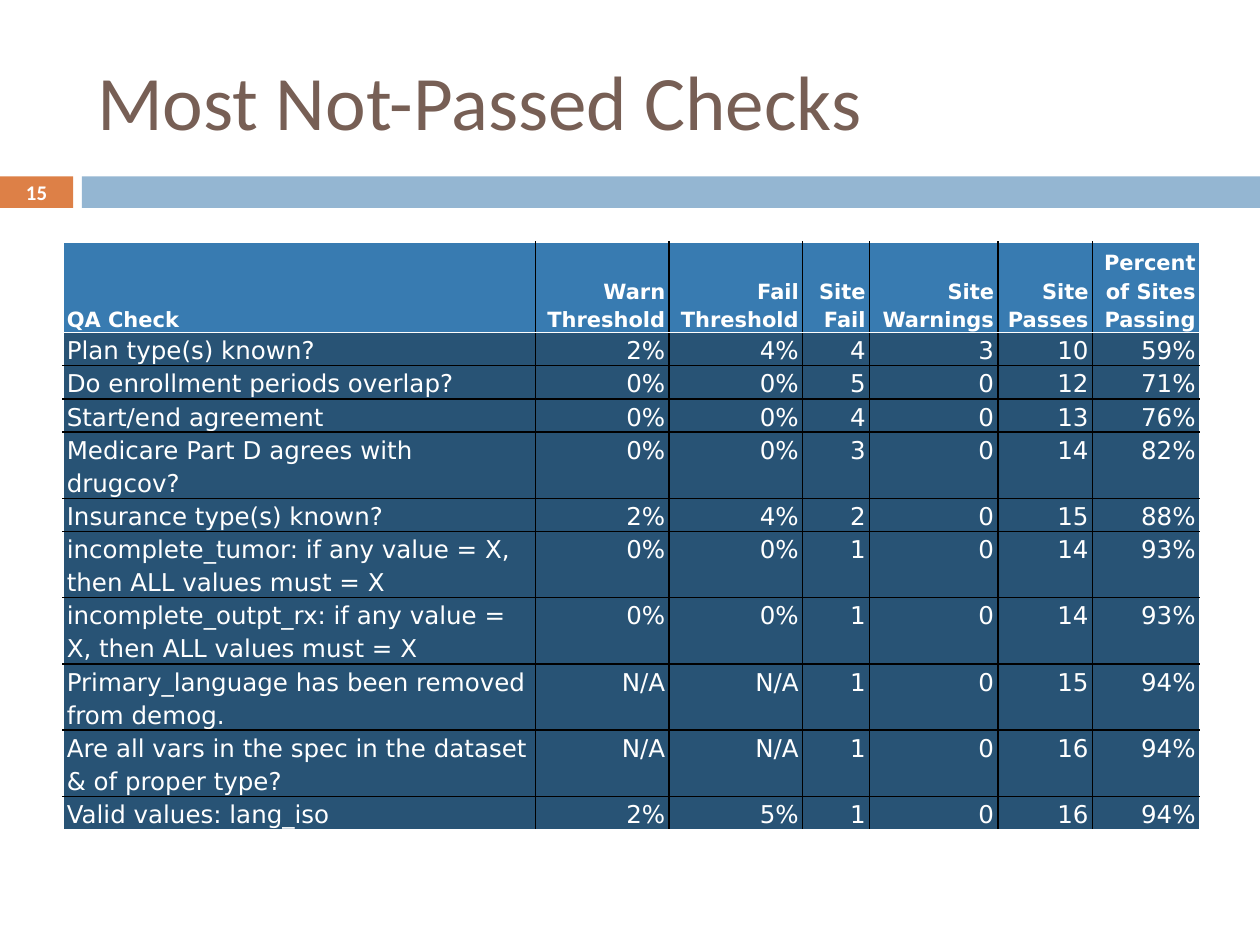
"""Build the slide that lists the QA checks most often not passed."""
from lxml import etree
from pptx import Presentation
from pptx.dml.color import RGBColor
from pptx.enum.shapes import MSO_SHAPE
from pptx.enum.text import MSO_ANCHOR, PP_ALIGN
from pptx.oxml.ns import qn
from pptx.util import Inches, Pt

RECT = MSO_SHAPE.RECTANGLE
TOP, MIDDLE, BOTTOM = MSO_ANCHOR.TOP, MSO_ANCHOR.MIDDLE, MSO_ANCHOR.BOTTOM
LEFT, CENTER, RIGHT = PP_ALIGN.LEFT, PP_ALIGN.CENTER, PP_ALIGN.RIGHT

WHITE = RGBColor(0xFF, 0xFF, 0xFF)
BLACK = RGBColor(0x00, 0x00, 0x00)
BROWN = RGBColor(0x77, 0x5F, 0x55)
ORANGE = RGBColor(0xDD, 0x80, 0x47)
PALE_BLUE = RGBColor(0x94, 0xB6, 0xD2)
HEAD_BLUE = RGBColor(0x38, 0x7B, 0xB1)
BODY_BLUE = RGBColor(0x28, 0x53, 0x75)

GRID_COLS, GRID_ROWS = 100, 75
COL_WIDTHS = [37.5, 10.6, 10.6, 5.3, 10.2, 7.5, 8.5]
HEAD_HEIGHT, ROW_HEIGHT = 7.2, 1.4
CHECKS = [
    ("QA Check", "Warn Threshold", "Fail Threshold", "Site Fail",
     "Site Warnings", "Site Passes", "Percent of Sites Passing"),
    ("Plan type(s) known?", "2%", "4%", "4", "3", "10", "59%"),
    ("Do enrollment periods overlap?", "0%", "0%", "5", "0", "12", "71%"),
    ("Start/end agreement", "0%", "0%", "4", "0", "13", "76%"),
    ("Medicare Part D agrees with drugcov?", "0%", "0%", "3", "0", "14", "82%"),
    ("Insurance type(s) known?", "2%", "4%", "2", "0", "15", "88%"),
    ("incomplete_tumor: if any value = X, then ALL values must = X",
     "0%", "0%", "1", "0", "14", "93%"),
    ("incomplete_outpt_rx: if any value = X, then ALL values must = X",
     "0%", "0%", "1", "0", "14", "93%"),
    ("Primary_language has been removed from demog.",
     "N/A", "N/A", "1", "0", "15", "94%"),
    ("Are all vars in the spec in the dataset & of proper type?",
     "N/A", "N/A", "1", "0", "16", "94%"),
    ("Valid values: lang_iso", "2%", "5%", "1", "0", "16", "94%"),
]


def write(tf, text, font="Calibri", size=14, color=WHITE, bold=False, align=LEFT):
    """Put formatted text in the frame's first paragraph and return it."""
    tf.word_wrap = True
    p = tf.paragraphs[0]
    p.alignment = align
    r = p.add_run()
    r.text = text
    r.font.name, r.font.size, r.font.bold = font, Pt(size), bold
    r.font.color.rgb = color
    return p


class Deck:
    """Hold the presentation's grid and the current slide."""

    def __init__(self, prs):
        """Start a title-only slide."""
        self.prs = prs
        self.s = prs.slides.add_slide(prs.slide_layouts[5])

    def x(self, cols):
        """Return the width of a number of grid columns."""
        return int(self.prs.slide_width * cols / GRID_COLS)

    def y(self, rows):
        """Return the height of a number of grid rows."""
        return int(self.prs.slide_height * rows / GRID_ROWS)

    def box(self, left, top, width, height):
        """Turn grid units into a position and a size."""
        return self.x(left), self.y(top), self.x(width), self.y(height)

    def title(self, text, *at):
        """Move and fill the title placeholder."""
        sp = self.s.shapes.title
        sp.left, sp.top, sp.width, sp.height = self.box(*at)
        sp.text_frame.vertical_anchor = MIDDLE
        write(sp.text_frame, text, size=44, color=BROWN)

    def bar(self, color, *at):
        """Add a plain filled rectangle."""
        sp = self.s.shapes.add_shape(RECT, *self.box(*at))
        sp.shadow.inherit = False
        sp.fill.solid()
        sp.fill.fore_color.rgb = color
        sp.line.fill.background()

    def number(self, text, *at):
        """Add the slide number."""
        tf = self.s.shapes.add_textbox(*self.box(*at)).text_frame
        tf.vertical_anchor = MIDDLE
        tf.margin_top = tf.margin_bottom = 0
        write(tf, text, size=11.9, bold=True, align=CENTER)

    def borders(self, cell, **colors):
        """Draw 1 pt cell borders, keyed by side."""
        tc_pr = cell._tc.get_or_add_tcPr()
        for i, side in enumerate("LRTB"):
            ln = etree.Element(qn(f"a:ln{side}"), w=str(Pt(1)))
            fill = etree.SubElement(ln, qn("a:solidFill"))
            etree.SubElement(fill, qn("a:srgbClr"), val=str(colors[side]))
            tc_pr.insert(i, ln)

    def cell(self, cell, text, head, align):
        """Fill and format one table cell."""
        cell.fill.solid()
        cell.fill.fore_color.rgb = HEAD_BLUE if head else BODY_BLUE
        cell.vertical_anchor = BOTTOM if head else TOP
        cell.margin_left = cell.margin_right = Inches(0.03)
        cell.margin_top = cell.margin_bottom = 0
        p = write(cell.text_frame, text, font="DejaVu Sans",
                  size=12 if head else 14, bold=head, align=align)
        p.line_spacing = 1.15
        p.space_before = p.space_after = Pt(2.4)

    def table(self, rows, widths, *at):
        """Add the table with black inner rules and a white frame."""
        frame = self.s.shapes.add_table(len(rows), len(widths), *self.box(*at))
        tbl = frame.table
        for col, width in zip(tbl.columns, widths):
            col.width = self.x(width)
        last_row, last_col = len(rows) - 1, len(widths) - 1
        for i, row in enumerate(rows):
            tbl.rows[i].height = self.y(ROW_HEIGHT if i else HEAD_HEIGHT)
            for j, text in enumerate(row):
                c = tbl.cell(i, j)
                self.cell(c, text, i == 0, RIGHT if j else LEFT)
                self.borders(c, L=BLACK if j else WHITE,
                             R=WHITE if j == last_col else BLACK,
                             T=BLACK if i > 1 else WHITE,
                             B=WHITE if i in (0, last_row) else BLACK)
        frame.height = self.y(at[3])


def main():
    """Build and save the slide."""
    prs = Presentation()
    prs.slide_width, prs.slide_height = Inches(10), Inches(7.5)
    deck = Deck(prs)
    deck.bar(ORANGE, 0, 14, 5.8, 2.5)
    deck.bar(PALE_BLUE, 6.5, 14, 93.5, 2.5)
    deck.title("Most Not-Passed Checks", 6.7, 2.5, 89.2, 10.8)
    deck.table(CHECKS, COL_WIDTHS, 5, 19.2, 90, 47.4)
    deck.number("15", 0, 13.9, 5.8, 2.7)
    prs.save("out.pptx")


if __name__ == "__main__":
    main()
